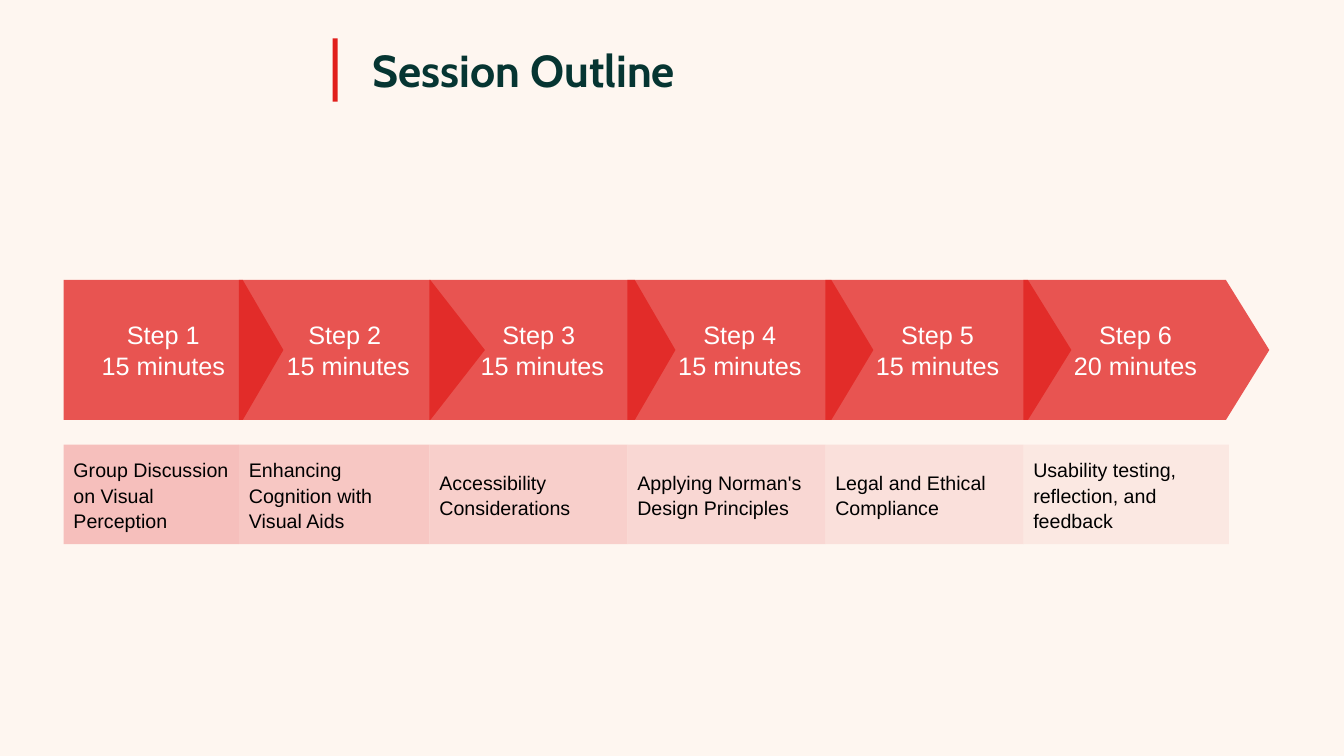
import itertools
import pptx
import pptx.util
import pptx.dml.color
import pptx.enum.shapes
import pptx.enum.text
import pptx.oxml

Pt = pptx.util.Pt
RGBColor = pptx.dml.color.RGBColor
SHAPE = pptx.enum.shapes.MSO_SHAPE
ALIGN = pptx.enum.text.PP_ALIGN
ANCHOR = pptx.enum.text.MSO_ANCHOR

TITLE = "Session Outline"
STEPS = [
    ("Step 1", "15 minutes", "Group Discussion on Visual Perception"),
    ("Step 2 ", "15 minutes", "Enhancing Cognition with Visual Aids"),
    ("Step 3 ", "15 minutes", "Accessibility Considerations"),
    ("Step 4", "15 minutes", "Applying Norman's Design Principles"),
    ("Step 5", "15 minutes", "Legal and Ethical Compliance"),
    ("Step 6", "20 minutes", "Usability testing, reflection, and feedback"),
]
TOPIC_WIDTHS = [125.3, 136.1, 141.4, 141.4, 141.4, 146.9]
ARROW_WIDTHS = [157] + [175.7] * 5
ARROW_POINTS = [0.29, 0.39, 0.29, 0.3, 0.31, 0.31]

CREAM = RGBColor(0xFE, 0xF6, 0xF0)
RED = RGBColor(0xE1, 0x1F, 0x1C)
PINK = RGBColor(0xF6, 0xBF, 0xBC)
DARK_GREEN = RGBColor(0x06, 0x35, 0x32)
WHITE = RGBColor(0xFF, 0xFF, 0xFF)
BLACK = RGBColor(0, 0, 0)

LEFT = 45.4
ARROW_TOP, ARROW_HEIGHT = 200, 100
TOPIC_TOP, TOPIC_HEIGHT = 317.6, 71.2
ARROW_OPACITY = 75
OPACITY_STEP = 15


def write(shape, *lines, size, color, font="Arial", bold=False,
          align=ALIGN.LEFT, anchor=ANCHOR.MIDDLE, spacing=1.0, after=0):
    frame = shape.text_frame
    frame.word_wrap = True
    frame.vertical_anchor = anchor
    frame.text = "\n".join(lines)
    for paragraph in frame.paragraphs:
        paragraph.alignment = align
        paragraph.line_spacing = spacing
        paragraph.space_after = Pt(after)
        paragraph.font.name = font
        paragraph.font.size = Pt(size)
        paragraph.font.bold = bold
        paragraph.font.color.rgb = color


def block(shapes, kind, left, top, width, height, color, opacity=100):
    shape = shapes.add_shape(kind, Pt(left), Pt(top), Pt(width), Pt(height))
    shape.shadow.inherit = False
    shape.line.fill.background()
    shape.fill.solid()
    shape.fill.fore_color.rgb = color
    if opacity < 100:
        rgb = shape.fill._xPr.find(".//" + pptx.oxml.ns.qn("a:srgbClr"))
        alpha = pptx.oxml.parse_xml(
            f'<a:alpha {pptx.oxml.ns.nsdecls("a")} val="{opacity * 1000}"/>')
        rgb.append(alpha)
    return shape


def main():
    deck = pptx.Presentation()
    deck.slide_width, deck.slide_height = Pt(960), Pt(540)
    slide = deck.slides.add_slide(deck.slide_layouts[6])
    slide.background.fill.solid()
    slide.background.fill.fore_color.rgb = CREAM

    block(slide.shapes, SHAPE.RECTANGLE, 237.6, 27.4, 3.6, 45.2, RED)
    title = slide.shapes.add_textbox(Pt(259.2), Pt(13), Pt(677.5), Pt(59.8))
    write(title, TITLE, size=32, color=DARK_GREEN, font="Cabin", bold=True,
          anchor=ANCHOR.BOTTOM, spacing=0.9)

    arrows = slide.shapes.add_group_shape().shapes
    lefts = itertools.accumulate(TOPIC_WIDTHS, initial=LEFT)
    columns = zip(STEPS, lefts, TOPIC_WIDTHS, ARROW_WIDTHS, ARROW_POINTS)
    for index, (step, left, topic_width, arrow_width, point) in enumerate(columns):
        name, duration, topic = step
        arrow = block(arrows, SHAPE.PENTAGON, left, ARROW_TOP, arrow_width,
                      ARROW_HEIGHT, RED, ARROW_OPACITY)
        arrow.adjustments[0] = point
        write(arrow, name, duration, size=18, color=WHITE, align=ALIGN.CENTER)

        topic_box = block(slide.shapes, SHAPE.RECTANGLE, left, TOPIC_TOP, topic_width,
                          TOPIC_HEIGHT, PINK, 100 - OPACITY_STEP * index)
        write(topic_box, topic, size=14, color=BLACK, spacing=1.07, after=8)

    deck.save("out.pptx")


if __name__ == "__main__":
    main()
